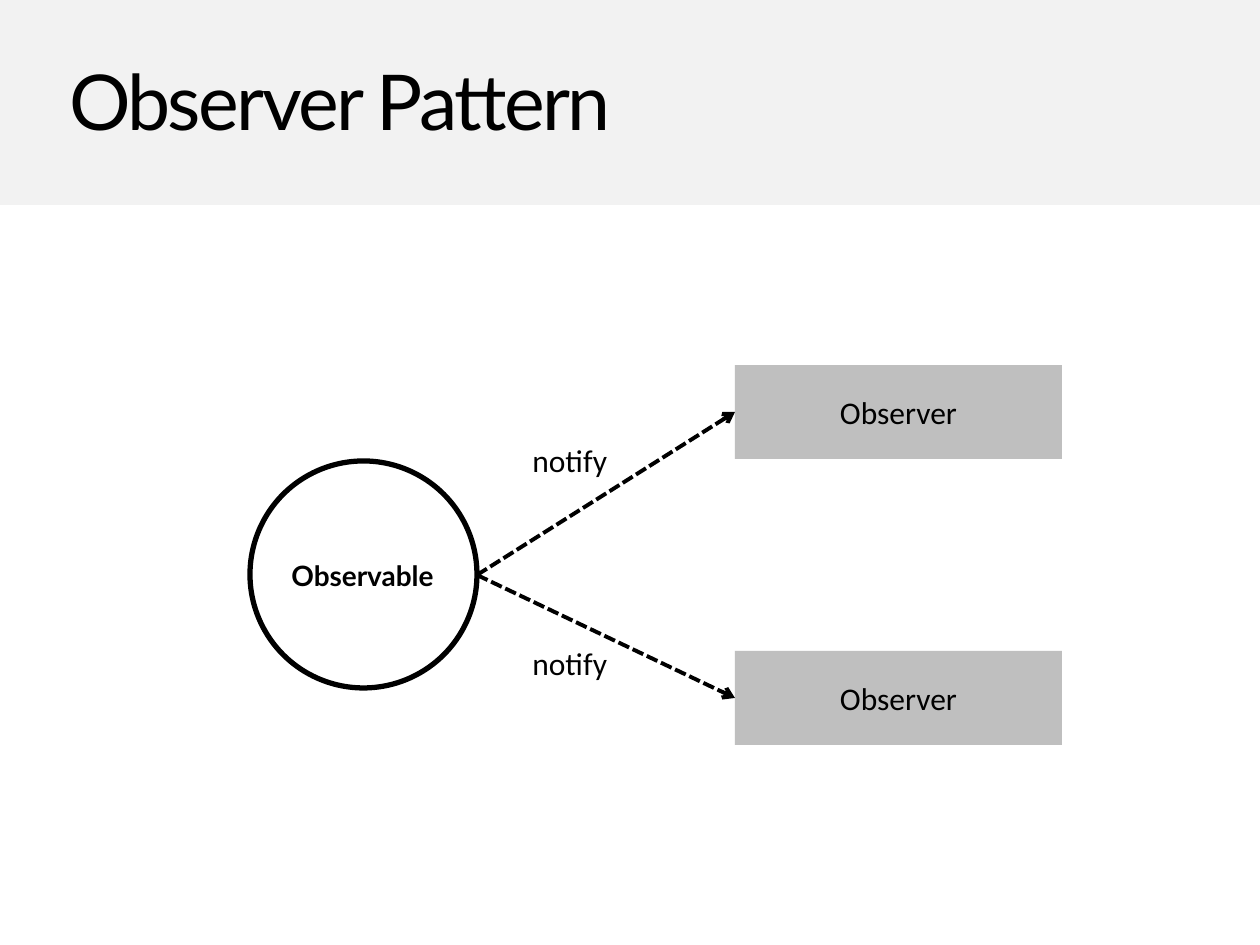
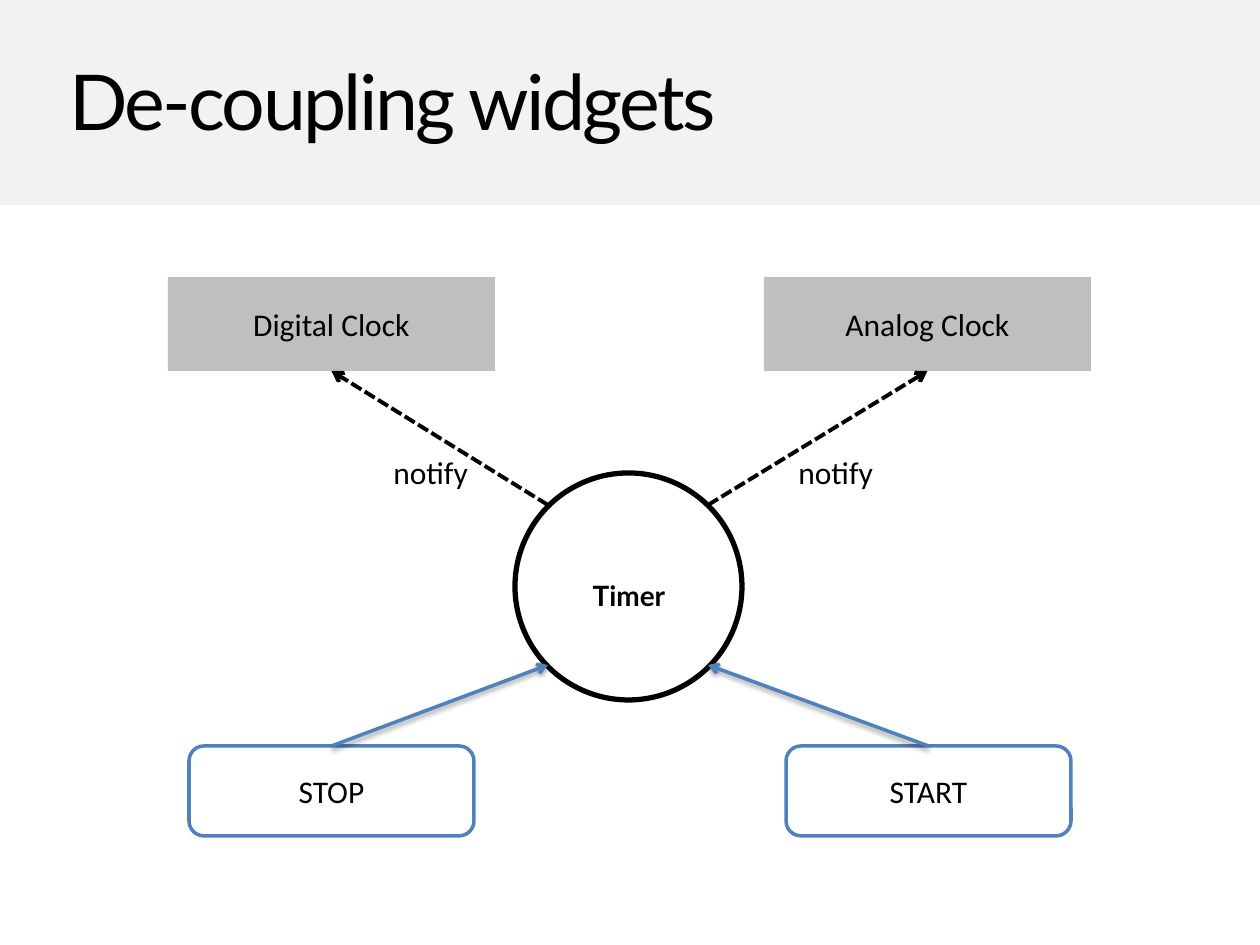
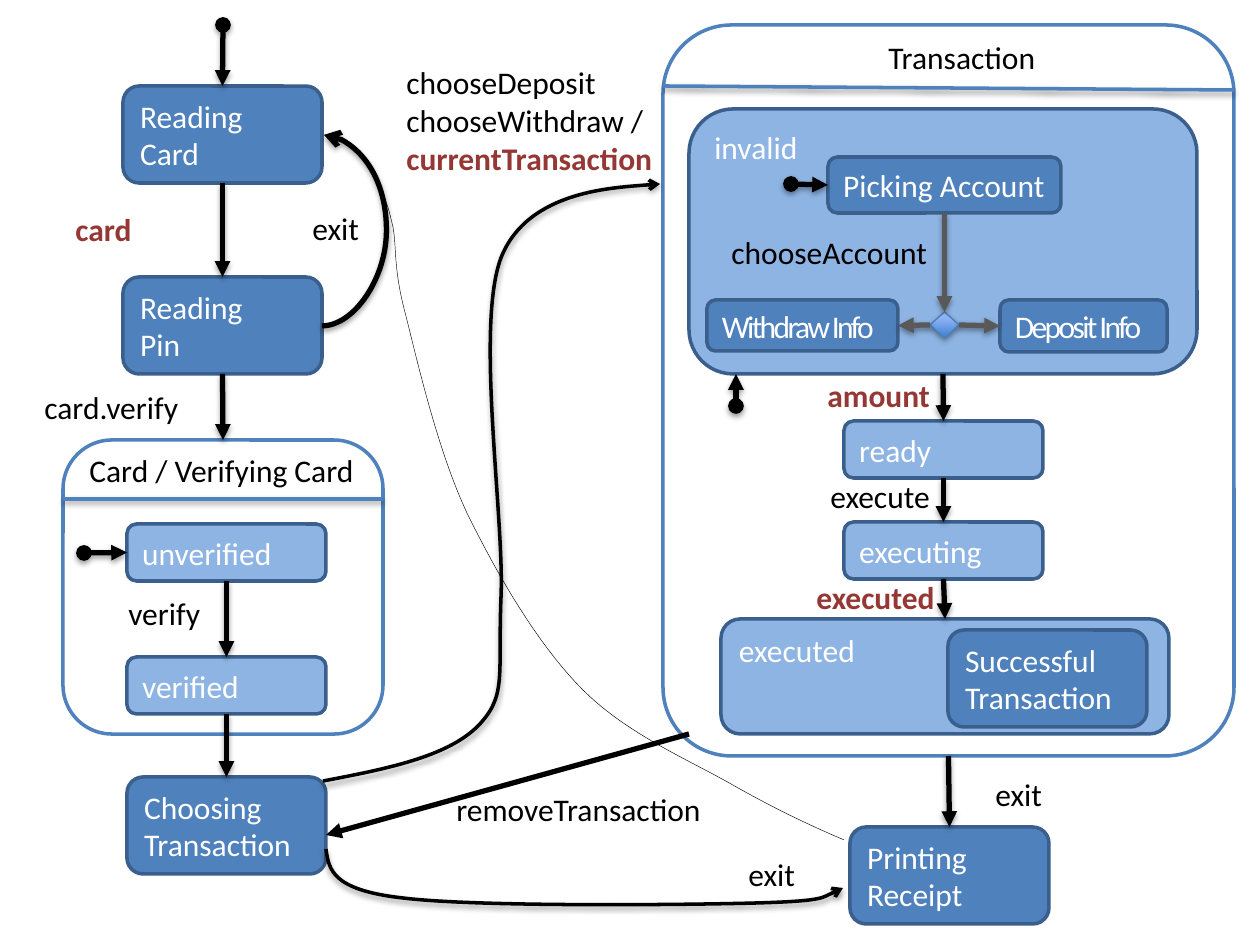
from lxml.etree import SubElement
from pptx import Presentation
from pptx.dml.color import RGBColor
from pptx.enum.dml import MSO_LINE
from pptx.enum.shapes import MSO_CONNECTOR as LINK, MSO_SHAPE as SHAPE
from pptx.enum.text import MSO_ANCHOR as ANCHOR, MSO_AUTO_SIZE, PP_ALIGN as ALIGN
from pptx.oxml.ns import qn
from pptx.util import Pt

PX = 914400 / 126
TOP, LEFT, BOTTOM, RIGHT = range(4)

COLORS = {
    "black": "000000", "white": "FFFFFF", "band": "F2F2F2", "grey": "BFBFBF",
    "dark grey": "595959", "blue": "4F81BD", "navy": "3A5F8C", "sky": "8EB4E3",
    "red": "953735", "choice edge": "4B7EBC", "choice low": "3F80CE", "choice high": "A4C4FF",
}

# Text styles: font, size, colour, bold, letter spacing
TEXTS = {
    "title": ("Lato", 44, "black", False, -1.5),
    "hub": ("Lato", 16, "black", True, 0),
    "plain": ("Calibri", 18, "black", False, 0),
    "event": ("Calibri", 18, "red", True, 0),
    "light": ("Calibri", 18, "white", False, 0),
    "tight": ("Calibri", 18, "white", False, -1.5),
}

# Node styles: outline, fill, edge colour, edge width, text style, alignment, anchor
NODES = {
    "band": (SHAPE.RECTANGLE, "band", None, 0, "plain", ALIGN.LEFT, ANCHOR.MIDDLE),
    "observer": (SHAPE.RECTANGLE, "grey", None, 0, "plain", ALIGN.CENTER, ANCHOR.MIDDLE),
    "subject": (SHAPE.OVAL, None, "black", 3, "hub", ALIGN.CENTER, ANCHOR.MIDDLE),
    "button": (SHAPE.ROUNDED_RECTANGLE, "white", "blue", 2, "plain", ALIGN.CENTER, ANCHOR.MIDDLE),
    "region": (SHAPE.ROUNDED_RECTANGLE, None, "blue", 2, "plain", ALIGN.CENTER, ANCHOR.TOP),
    "state": (SHAPE.ROUNDED_RECTANGLE, "blue", "navy", 2, "light", ALIGN.LEFT, ANCHOR.MIDDLE),
    "tight state": (SHAPE.ROUNDED_RECTANGLE, "blue", "navy", 2, "tight", ALIGN.LEFT, ANCHOR.MIDDLE),
    "substate": (SHAPE.ROUNDED_RECTANGLE, "sky", "navy", 2, "light", ALIGN.LEFT, ANCHOR.MIDDLE),
    "superstate": (SHAPE.ROUNDED_RECTANGLE, "sky", "navy", 2, "light", ALIGN.LEFT, ANCHOR.TOP),
    "choice": (SHAPE.DIAMOND, "gradient", "choice edge", 0.75, "light", ALIGN.LEFT, ANCHOR.MIDDLE),
}

# Line styles: colour, width, dashed, start head, end head, shadow
LINES = {
    "notify": ("black", 2.25, True, None, "arrow", False),
    "command": ("blue", 2, False, None, "arrow", True),
    "flow": ("black", 3, False, None, "triangle", True),
    "start": ("black", 3, False, "oval", "triangle", True),
    "choose": ("dark grey", 3, False, None, "triangle", True),
    "remove": ("black", 3, False, None, "triangle", False),
    "divider": ("blue", 2, False, None, None, True),
    "loop": ("black", 3, False, None, "arrow", True),
    "route": ("black", 2, False, None, "arrow", True),
    "trace": ("black", 0.25, False, None, None, False),
}

# Content. Nodes: key -> style, text, box. Labels: text, styles per line, x, y, width.
# Links: style, start, end, each a point or a (node key, side).
OBSERVER_PATTERN = {
    "title": "Observer Pattern",
    "nodes": {
        "observable": ("subject", "", (250, 461, 227, 227)),
        "upper": ("observer", "Observer", (735, 365, 327, 94)),
        "lower": ("observer", "Observer", (735, 651, 327, 94)),
    },
    "labels": [
        ("notify", "plain", 520, 435, 101),
        ("notify", "plain", 520, 638, 101),
        ("Observable", "hub", 277, 552, 171),
    ],
    "links": [
        ("notify", (477, 575), ("upper", LEFT)),
        ("notify", (477, 575), ("lower", LEFT)),
    ],
}

WIDGETS = {
    "title": "De-coupling widgets",
    "nodes": {
        "timer": ("subject", "", (515, 473, 227, 227)),
        "digital": ("observer", "Digital Clock", (168, 277, 327, 94)),
        "analog": ("observer", "Analog Clock", (764, 277, 327, 94)),
        "stop": ("button", "STOP", (189, 746, 285, 90)),
        "start": ("button", "START", (786, 746, 285, 90)),
    },
    "labels": [
        ("notify", "plain", 786, 447, 101),
        ("notify", "plain", 381, 447, 101),
        ("Timer", "hub", 578, 572, 102),
    ],
    "links": [
        ("notify", (548, 505), ("digital", BOTTOM)),
        ("notify", (708, 505), ("analog", BOTTOM)),
        ("command", ("stop", TOP), (548, 665)),
        ("command", ("start", TOP), (708, 665)),
    ],
}

STATE_CHART = {
    "nodes": {
        "reading card": ("state", "Reading\nCard", (123, 86, 199, 97)),
        "reading pin": ("state", "Reading\nPin", (123, 277, 199, 97)),
        "choosing": ("state", "Choosing\nTransaction", (127, 777, 199, 97)),
        "printing": ("state", "Printing\nReceipt", (850, 827, 199, 97)),
        "transaction": ("region", "", (663, 25, 571, 731)),
        "card": ("region", "", (63, 440, 320, 294)),
        "unverified": ("substate", "unverified", (127, 524, 199, 57)),
        "verified": ("substate", "verified", (127, 657, 199, 57)),
        "invalid": ("superstate", "invalid", (689, 109, 508, 265)),
        "ready": ("substate", "ready", (844, 421, 199, 57)),
        "executing": ("substate", "executing", (844, 522, 199, 57)),
        "executed": ("superstate", "executed", (721, 619, 448, 115)),
        "picking": ("state", "Picking Account", (828, 157, 233, 56)),
        "deposit": ("tight state", "Deposit Info", (1000, 300, 167, 52)),
        "withdraw": ("tight state", "Withdraw Info", (707, 300, 191, 51)),
        "choice": ("choice", "", (930, 312, 29, 26)),
        "successful": ("state", "Successful\nTransaction", (948, 630, 199, 97)),
    },
    "corners": {"transaction": 0.12},
    "labels": [
        ("card", "event", 63, 204, 83),
        ("card.verify", "plain", 32, 382, 163),
        ("exit", "plain", 300, 203, 73),
        ("Transaction", "plain", 876, 32, 176),
        ("Card / Verifying Card", "plain", 77, 445, 295),
        ("verify", "plain", 116, 588, 98),
        ("chooseDeposit\nchooseWithdraw /\ncurrentTransaction", "plain plain event", 394, 57, 277),
        ("chooseAccount", "plain", 719, 227, 223),
        ("exit", "plain", 983, 769, 73),
        ("exit", "plain", 736, 849, 73),
        ("amount", "event", 815, 370, 130),
        ("execute", "plain", 818, 471, 127),
        ("executed", "event", 804, 572, 146),
        ("removeTransaction", "plain", 444, 784, 276),
    ],
    "links": [
        ("start", (223, 25), ("reading card", TOP)),
        ("flow", ("reading card", BOTTOM), ("reading pin", TOP)),
        ("flow", ("reading pin", BOTTOM), ("card", TOP)),
        ("divider", (63, 499), (383, 499)),
        ("start", (84, 553), ("unverified", LEFT)),
        ("flow", ("unverified", BOTTOM), ("verified", TOP)),
        ("flow", ("verified", BOTTOM), ("choosing", TOP)),
        ("divider", (663, 86), (1234, 90)),
        ("start", (791, 184), ("picking", LEFT)),
        ("choose", ("picking", BOTTOM), ("choice", TOP)),
        ("choose", ("choice", RIGHT), ("deposit", LEFT)),
        ("choose", ("choice", LEFT), ("withdraw", RIGHT)),
        ("start", (736, 406), (736, 374)),
        ("flow", ("invalid", BOTTOM), ("ready", TOP)),
        ("flow", ("ready", BOTTOM), ("executing", TOP)),
        ("flow", ("executing", BOTTOM), ("executed", TOP)),
        ("flow", ("transaction", BOTTOM), ("printing", TOP)),
        ("remove", (689, 734), (326, 835)),
    ],
    # Loop: style, start, end, reach to the right
    "loops": [("loop", (322, 326), (324, 135), 65)],
    # Curves: style, then a start point and three points for each Bezier segment
    "curves": [
        ("route", [(323, 781), (386, 769), (447, 757), (478, 726), (507, 696), (498, 677), (501, 599),
                   (505, 520), (475, 328), (501, 258), (528, 189), (660, 184), (660, 184)]),
        ("route", [(326, 849), (329, 869), (331, 890), (403, 898), (475, 907), (683, 905), (756, 903),
                   (829, 901), (843, 888), (843, 888)]),
        ("trace", [(844, 840), (809, 825), (775, 809), (731, 784), (687, 759), (625, 733), (581, 688),
                   (537, 643), (498, 576), (467, 513), (438, 451), (418, 364), (406, 316),
                   (393, 268), (397, 248), (393, 227), (388, 205), (386, 200), (379, 188),
                   (374, 175), (368, 160), (359, 151), (350, 142), (328, 135), (328, 135)]),
    ],
}


def emu(*lengths):
    return [round(length * PX) for length in lengths]


def rgb(name):
    return RGBColor.from_string(COLORS[name])


def set_effects(item, shadow):
    """Give the item a soft drop shadow, or none at all."""
    effects = SubElement(item._element.spPr, qn("a:effectLst"))
    if shadow:
        drop = SubElement(effects, qn("a:outerShdw"), blurRad="40000", dist="20000",
                          dir="5400000", rotWithShape="0")
        color = SubElement(drop, qn("a:srgbClr"), val=COLORS["black"])
        SubElement(color, qn("a:alpha"), val="38000")


def style_text(paragraph, style):
    font, size, color, bold, spacing = TEXTS[style]
    for run in paragraph.runs:
        run.font.name, run.font.size, run.font.bold = font, Pt(size), bold
        run.font.color.rgb = rgb(color)
        if spacing:
            run._r.get_or_add_rPr().set("spc", str(round(spacing * 100)))


def style_line(item, style):
    color, width, dashed, head, tail, shadow = LINES[style]
    item.line.color.rgb = rgb(color)
    item.line.width = Pt(width)
    if dashed:
        item.line.dash_style = MSO_LINE.SQUARE_DOT
    outline = item._element.spPr.find(qn("a:ln"))
    for tag, end in (("a:headEnd", head), ("a:tailEnd", tail)):
        if end:
            SubElement(outline, qn(tag), type=end)
    set_effects(item, shadow)


def add_node(slide, style, text, box, corner=None):
    outline, fill, edge, width, text_style, align, anchor = NODES[style]
    node = slide.shapes.add_shape(outline, *emu(*box))
    if corner:
        node.adjustments[0] = corner
    if fill == "gradient":
        node.fill.gradient()
        node.fill.gradient_angle = 90
        for stop, color in zip(node.fill.gradient_stops, ("choice low", "choice high")):
            stop.color.rgb = rgb(color)
    elif fill:
        node.fill.solid()
        node.fill.fore_color.rgb = rgb(fill)
    else:
        node.fill.background()
    if edge:
        node.line.color.rgb = rgb(edge)
        node.line.width = Pt(width)
    else:
        node.line.fill.background()
    set_effects(node, style == "choice")
    if text:
        node.text_frame.text = text
        node.text_frame.vertical_anchor = anchor
        for paragraph in node.text_frame.paragraphs:
            paragraph.alignment = align
            style_text(paragraph, text_style)
    return node


def add_label(slide, text, styles, x, y, width):
    height = 12 + 38 * len(text.split("\n"))
    frame = slide.shapes.add_textbox(*emu(x, y, width, height)).text_frame
    frame.text = text
    frame.word_wrap = False
    frame.auto_size = MSO_AUTO_SIZE.SHAPE_TO_FIT_TEXT
    for paragraph, style in zip(frame.paragraphs, styles.split()):
        paragraph.alignment = ALIGN.CENTER if style == "hub" else ALIGN.LEFT
        style_text(paragraph, style)


def add_title(slide, text):
    add_node(slide, "band", "", (0, 0, 1260, 205))
    frame = slide.shapes.add_textbox(*emu(58, 48, 1153, 105)).text_frame
    frame.text = text
    frame.word_wrap = False
    frame.margin_left, frame.margin_top, frame.margin_right, frame.margin_bottom = emu(11, 5, 11, 5)
    frame.paragraphs[0].line_spacing = 1.01
    style_text(frame.paragraphs[0], "title")


def add_link(slide, nodes, style, start, end):
    joins = [place if place[0] in nodes else None for place in (start, end)]
    points = [(0, 0) if join else place for join, place in zip(joins, (start, end))]
    link = slide.shapes.add_connector(LINK.STRAIGHT, *emu(*points[0], *points[1]))
    for join, connect in zip(joins, (link.begin_connect, link.end_connect)):
        if join:
            connect(nodes[join[0]], join[1])
    style_line(link, style)


def add_loop(slide, style, start, end, reach):
    loop = slide.shapes.add_connector(LINK.CURVE, *emu(*start, *end))
    geometry = loop._element.spPr.find(qn("a:prstGeom"))
    guides = geometry.find(qn("a:avLst"))
    if guides is None:
        guides = SubElement(geometry, qn("a:avLst"))
    bend = round(reach / (end[0] - start[0]) * 100000)
    SubElement(guides, qn("a:gd"), name="adj1", fmla=f"val {bend}")
    style_line(loop, style)


def add_curve(slide, style, points):
    builder = slide.shapes.build_freeform(*points[0], scale=PX)
    builder.add_line_segments(points[1:], close=False)
    curve = builder.convert_to_shape()
    # Every three straight steps become one Bezier segment
    steps = list(curve._element.spPr.iter(qn("a:lnTo")))
    track = steps[0].getparent()
    for first in range(0, len(steps), 3):
        bezier = SubElement(track, qn("a:cubicBezTo"))
        for step in steps[first:first + 3]:
            bezier.append(step[0])
            track.remove(step)
    curve.fill.background()
    style_line(curve, style)


def add_diagram(deck, content):
    slide = deck.slides.add_slide(deck.slide_layouts[6])
    if "title" in content:
        add_title(slide, content["title"])
    corners = content.get("corners", {})
    nodes = {key: add_node(slide, *node, corners.get(key)) for key, node in content["nodes"].items()}
    for label in content["labels"]:
        add_label(slide, *label)
    for link in content["links"]:
        add_link(slide, nodes, *link)
    for loop in content.get("loops", []):
        add_loop(slide, *loop)
    for curve in content.get("curves", []):
        add_curve(slide, *curve)


def main():
    deck = Presentation()
    deck.slide_width, deck.slide_height = emu(1260, 945)
    for content in (OBSERVER_PATTERN, WIDGETS, STATE_CHART):
        add_diagram(deck, content)
    deck.save("out.pptx")


if __name__ == "__main__":
    main()
